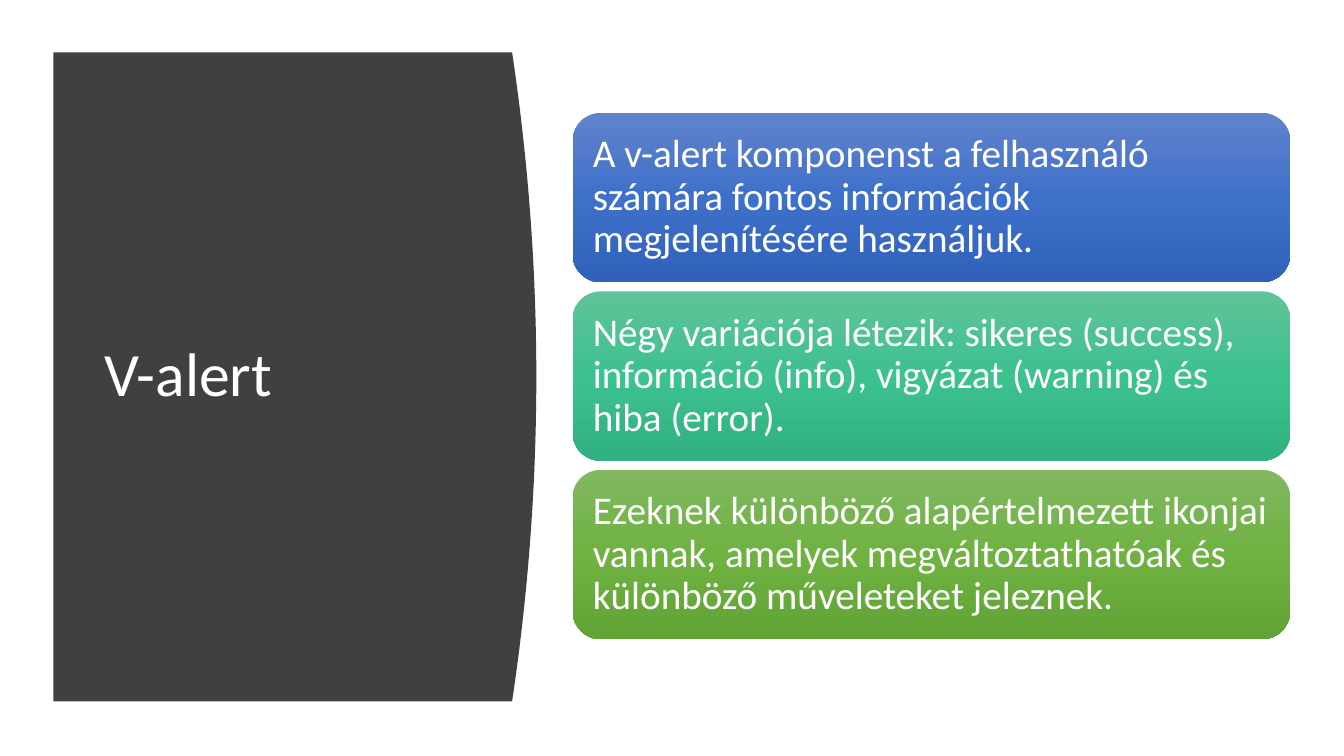
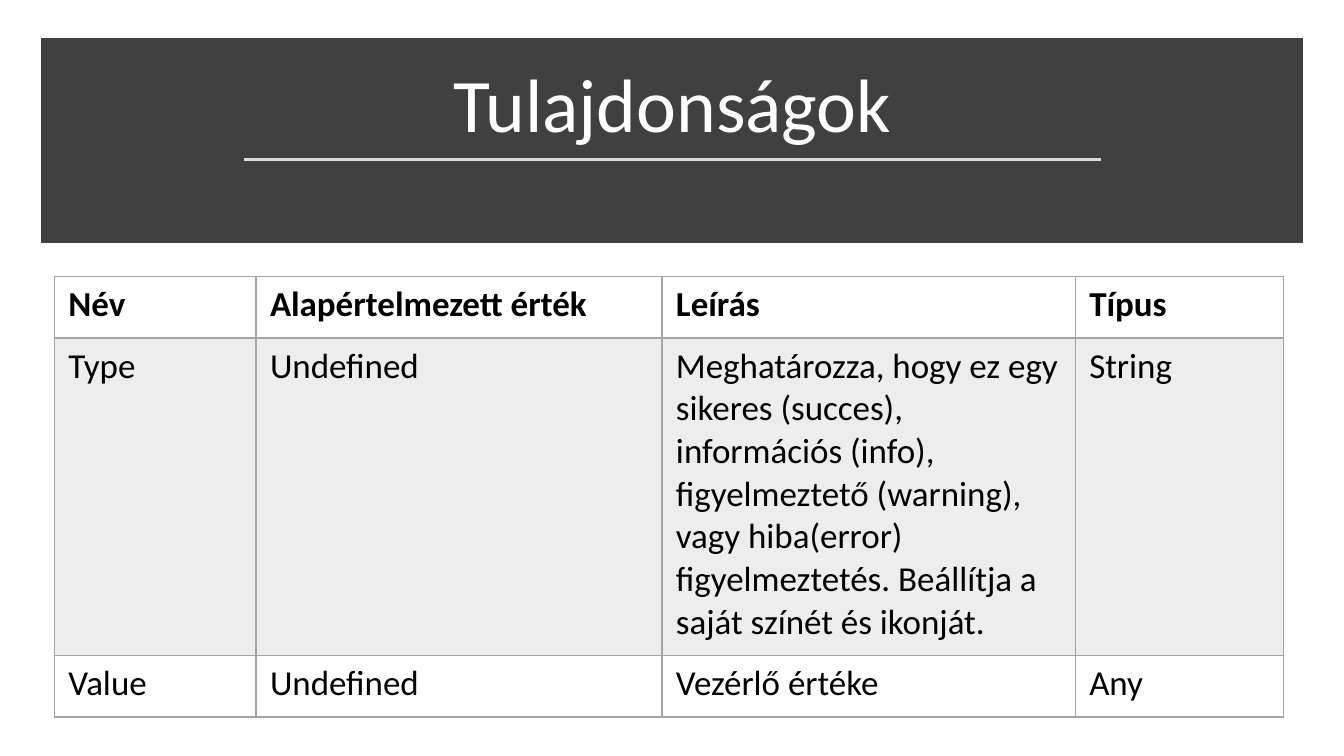
from copy import deepcopy

from lxml import etree
from pptx import Presentation
from pptx.dml.color import RGBColor
from pptx.enum import shapes, text
from pptx.oxml.ns import qn
from pptx.util import Pt

FONT = "Calibri"
DARK, WHITE, BLACK = "404040", "FFFFFF", "000000"
RULE, GRID, BAND = "D9D9D9", "A5A5A5", "EDEDED"

CARDS = [
    ("A v-alert komponenst a felhasználó számára fontos információk "
     "megjelenítésére használjuk.", ("6183CB", "3E70CA", "3062BB")),
    ("Négy variációja létezik: sikeres (success), információ (info), "
     "vigyázat (warning) és hiba (error).", ("60C39A", "3DC18F", "31B080")),
    ("Ezeknek különböző alapértelmezett ikonjai vannak, amelyek "
     "megváltoztathatóak és különböző műveleteket jeleznek.",
     ("81B861", "6FB242", "62A336")),
]

ROWS = [
    ("Név", "Alapértelmezett érték", "Leírás", "Típus"),
    ("Type", "Undefined",
     "Meghatározza, hogy ez egy sikeres (succes), információs (info), "
     "figyelmeztető (warning), vagy hiba(error) figyelmeztetés. "
     "Beállítja a saját színét és ikonját.", "String"),
    ("Value", "Undefined", "Vezérlő értéke", "Any"),
]
COL_WIDTHS = (144, 290, 295.2, 149)
ROW_HEIGHTS = (44, 226.8, 44)


def rgb(value):
    return RGBColor.from_string(value)


def write(tf, content, size, color=WHITE, bold=False, spacing=0.9,
          align=text.PP_ALIGN.LEFT, anchor=text.MSO_ANCHOR.MIDDLE):
    tf.word_wrap = True
    tf.vertical_anchor = anchor
    p = tf.paragraphs[0]
    p.alignment = align
    p.line_spacing = spacing
    r = p.add_run()
    r.text = content
    r.font.name, r.font.size, r.font.bold = FONT, Pt(size), bold
    r.font.color.rgb = rgb(color)


def place(sp, left, top, width, height):
    sp.left, sp.top, sp.width, sp.height = map(Pt, (left, top, width, height))


def add_title(s, content, box, size, **fmt):
    sp = s.shapes.title
    place(sp, *box)
    s.shapes.element.append(sp.element)
    write(sp.text_frame, content, size, **fmt)


def paint(sp, fill):
    sp.shadow.inherit = False
    sp.fill.solid()
    sp.fill.fore_color.rgb = rgb(fill)
    sp.line.fill.background()


def paint_gradient(sp, colors):
    sp.shadow.inherit = False
    sp.line.fill.background()
    sp.fill.gradient()
    sp.fill.gradient_angle = 270
    stops = sp.element.spPr.find(".//" + qn("a:gsLst"))
    stops.append(deepcopy(stops[0]))
    for i, (stop, color) in enumerate(zip(sp.fill.gradient_stops, colors)):
        stop.position = i / 2
        stop.color.rgb = rgb(color)


def add_curved_panel(s, left, top, right, bottom, bulge, steps=40):
    ys = [top + (bottom - top) * i / steps for i in range(steps + 1)]
    curve = [(right + bulge * (1 - (2 * i / steps - 1) ** 2), y)
             for i, y in enumerate(ys)]
    fb = s.shapes.build_freeform(Pt(left), Pt(top))
    fb.add_line_segments([(Pt(x), Pt(y)) for x, y in curve + [(left, bottom)]])
    paint(fb.convert_to_shape(), DARK)


def add_cards(s, left, top, width, height, pitch):
    for i, (content, colors) in enumerate(CARDS):
        sp = s.shapes.add_shape(
            shapes.MSO_SHAPE.ROUNDED_RECTANGLE,
            Pt(left), Pt(top + i * pitch), Pt(width), Pt(height))
        paint_gradient(sp, colors)
        tf = sp.text_frame
        tf.margin_left = tf.margin_right = Pt(8.6)
        tf.margin_top = tf.margin_bottom = Pt(8.6)
        write(tf, content, 28)


def add_border(cell, side, width):
    ln = etree.SubElement(cell._tc.get_or_add_tcPr(), qn("a:ln" + side),
                          w=str(Pt(width)))
    fill = etree.SubElement(ln, qn("a:solidFill"))
    etree.SubElement(fill, qn("a:srgbClr"), val=GRID)


def add_property_table(s, left, top):
    table = s.shapes.add_table(
        len(ROWS), len(COL_WIDTHS), Pt(left), Pt(top),
        Pt(sum(COL_WIDTHS)), Pt(sum(ROW_HEIGHTS))).table
    for col, width in zip(table.columns, COL_WIDTHS):
        col.width = Pt(width)
    for row, height in zip(table.rows, ROW_HEIGHTS):
        row.height = Pt(height)
    for i, row in enumerate(ROWS):
        for j, content in enumerate(row):
            cell = table.cell(i, j)
            cell.margin_left = cell.margin_right = Pt(10)
            cell.margin_top = cell.margin_bottom = Pt(5)
            for side in "LRTB":
                heavy = (i, side) in ((0, "B"), (1, "T"))
                add_border(cell, side, 2 if heavy else 1)
            cell.fill.solid()
            cell.fill.fore_color.rgb = rgb(BAND if i % 2 else WHITE)
            write(cell.text_frame, content, 25, BLACK, bold=i == 0, spacing=1)
            cell.vertical_anchor = text.MSO_ANCHOR.TOP


def build_alert_slide(s):
    add_curved_panel(s, 38.2, 37.4, 365.8, 501.1, 17.3)
    add_title(s, "V-alert", (67.7, 80, 269.3, 377.3), 44)
    add_cards(s, 409, 80.6, 512.6, 121, 127.5)


def build_properties_slide(s):
    band = s.shapes.add_shape(shapes.MSO_SHAPE.RECTANGLE, Pt(29.5), Pt(27.4),
                              Pt(900.7), Pt(145.4))
    paint(band, DARK)
    band.line.color.rgb = rgb(DARK)
    band.line.width = Pt(10 / 10)
    add_title(s, "Tulajdonságok", (41.8, 36.7, 877, 73.4), 54,
              align=text.PP_ALIGN.CENTER, anchor=text.MSO_ANCHOR.BOTTOM)
    rule = s.shapes.add_connector(shapes.MSO_CONNECTOR.STRAIGHT,
                                  Pt(174.2), Pt(113.8), Pt(786.2), Pt(113.8))
    rule.line.color.rgb = rgb(RULE)
    rule.line.width = Pt(1.75)
    etree.SubElement(rule.element.spPr, qn("a:effectLst"))
    add_property_table(s, 38.9, 197.3)


def main():
    prs = Presentation()
    prs.slide_width, prs.slide_height = Pt(960), Pt(540)
    for build in (build_alert_slide, build_properties_slide):
        build(prs.slides.add_slide(prs.slide_layouts[5]))
    prs.save("out.pptx")


if __name__ == "__main__":
    main()
